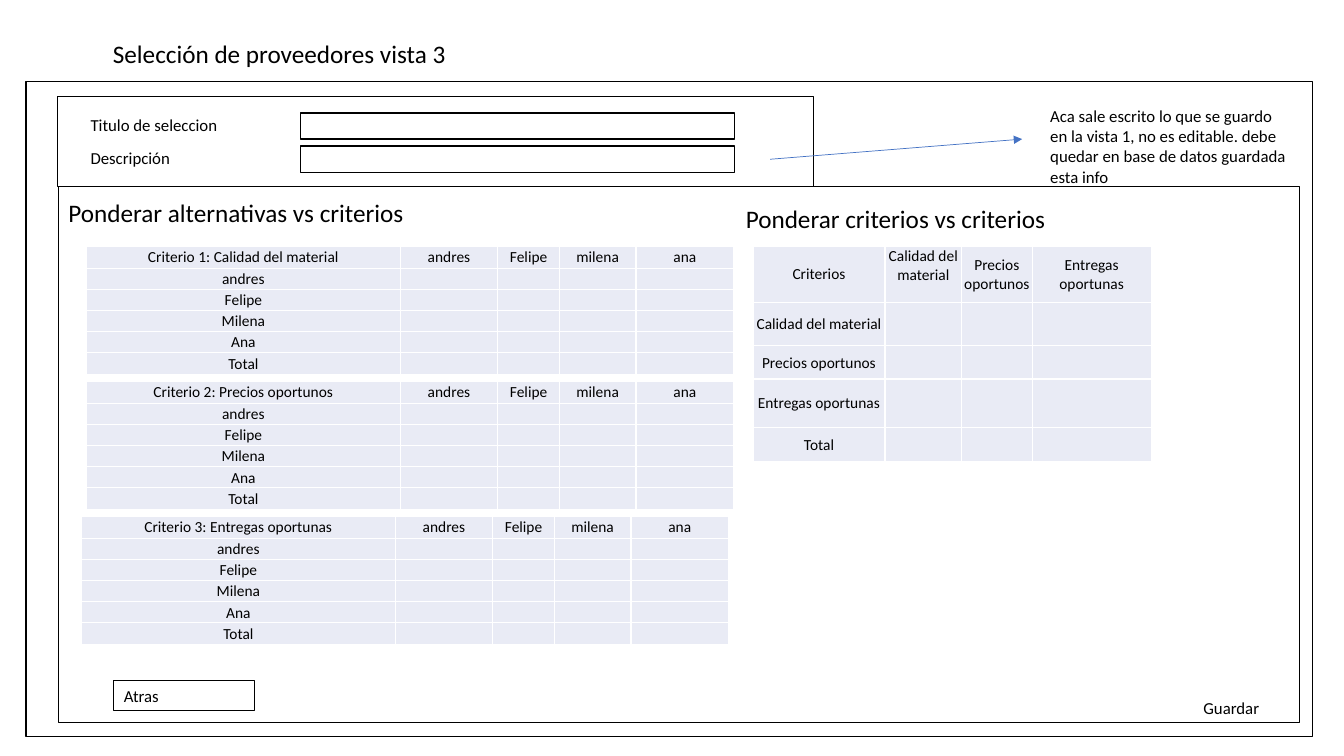
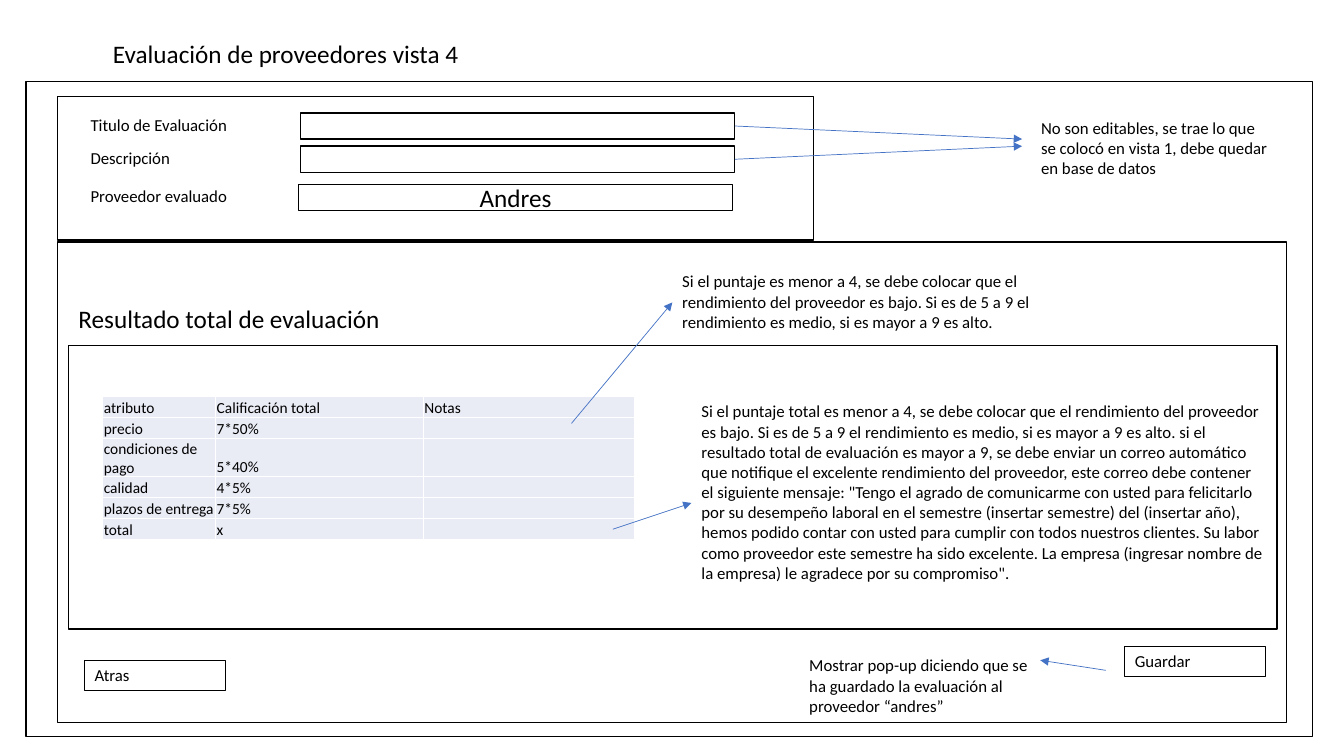
from dataclasses import dataclass
from typing import NamedTuple

from lxml import etree
from pptx import Presentation
from pptx.dml.color import RGBColor
from pptx.enum.shapes import MSO_CONNECTOR, MSO_SHAPE
from pptx.enum.text import MSO_ANCHOR, MSO_AUTO_SIZE, PP_ALIGN
from pptx.oxml.ns import qn
from pptx.util import Inches, Length, Pt

RECT = MSO_SHAPE.RECTANGLE
STRAIGHT = MSO_CONNECTOR.STRAIGHT
LEFT, CENTER = PP_ALIGN.LEFT, PP_ALIGN.CENTER
TOP, MIDDLE, BOTTOM = MSO_ANCHOR.TOP, MSO_ANCHOR.MIDDLE, MSO_ANCHOR.BOTTOM
GROW, FIXED = MSO_AUTO_SIZE.SHAPE_TO_FIT_TEXT, MSO_AUTO_SIZE.NONE
TITLE_ONLY = 5
COLS, ROWS = 133.33, 75


@dataclass(frozen=True)
class Theme:
    font: str = "Calibri"
    ink: str = "000000"
    arrow: str = "4472C4"
    cell: str = "E9EBF5"
    grid: str = "FFFFFF"
    heading: float = 18
    body: float = 12
    table: float = 11
    frame_line: float = 1
    button_line: float = 0.75
    arrow_line: float = 0.5


THEME = Theme()


class Box(NamedTuple):
    col: float
    row: float
    cols: float
    rows: float


class Arrow(NamedTuple):
    col: float
    row: float
    to_col: float
    to_row: float


class Field(NamedTuple):
    label: str
    row: float
    value: str = ""
    col: float = 29.8


class Label(NamedTuple):
    text: str
    box: Box
    size: float = THEME.body


class Button(NamedTuple):
    text: str
    col: float
    row: float


@dataclass(frozen=True)
class Grid:
    col: float
    row: float
    widths: list[float]
    heights: list[float]
    cells: list[list[str]]
    align: PP_ALIGN = CENTER
    anchor: MSO_ANCHOR = MIDDLE
    top_cells: tuple[tuple[int, int], ...] = ()


@dataclass(frozen=True)
class View:
    title: str
    header_rows: float
    fields: list[Field]
    panels: list[Box]
    labels: list[Label]
    buttons: list[Button]
    grids: list[Grid]
    arrows: list[Arrow]


def unit(n: float) -> Length:
    return Inches(n / 10)


def place(box: Box) -> list[Length]:
    return [unit(n) for n in box]


def color(value: str) -> RGBColor:
    return RGBColor.from_string(value)


def write(tf, text: str, *, size=THEME.body, align=LEFT, anchor=TOP, fit=GROW) -> None:
    tf.word_wrap = True
    tf.auto_size = fit
    tf.vertical_anchor = anchor
    p = tf.paragraphs[0]
    p.alignment = align
    r = p.add_run()
    r.text = text
    r.font.name = THEME.font
    r.font.size = Pt(size)
    r.font.color.rgb = color(THEME.ink)


def add_title(s, text: str) -> None:
    sp = s.shapes.title
    sp.left, sp.top, sp.width, sp.height = place(Box(10.2, 3.3, 48.2, 4))
    write(sp.text_frame, text, size=THEME.heading)


def add_label(s, label: Label) -> None:
    sp = s.shapes.add_textbox(*place(label.box))
    write(sp.text_frame, label.text, size=label.size)


def add_frame(s, box: Box, weight: float = THEME.frame_line):
    sp = s.shapes.add_shape(RECT, *place(box))
    sp.shadow.inherit = False
    sp.fill.background()
    sp.line.color.rgb = color(THEME.ink)
    sp.line.width = Pt(weight)
    return sp


def add_button(s, button: Button) -> None:
    sp = add_frame(s, Box(button.col, button.row, 14, 3), THEME.button_line)
    write(sp.text_frame, button.text)


def add_field(s, field: Field) -> None:
    add_label(s, Label(field.label, Box(8, field.row - 0.35, 18.6, 3)))
    sp = add_frame(s, Box(field.col, field.row, 43.1, 2.6))
    if field.value:
        write(sp.text_frame, field.value, size=THEME.heading,
              align=CENTER, anchor=MIDDLE, fit=FIXED)


def add_arrow(s, arrow: Arrow) -> None:
    c = s.shapes.add_connector(STRAIGHT, *[unit(n) for n in arrow])
    c.line.color.rgb = color(THEME.arrow)
    c.line.width = Pt(THEME.arrow_line)
    sp_pr = c.element.spPr
    etree.SubElement(sp_pr.find(qn("a:ln")), qn("a:tailEnd"), type="triangle")
    etree.SubElement(sp_pr, qn("a:effectLst"))


def add_borders(cell) -> None:
    tc_pr = cell._tc.get_or_add_tcPr()
    for i, side in enumerate(("lnL", "lnR", "lnT", "lnB")):
        ln = etree.Element(qn(f"a:{side}"), w=str(Pt(1)))
        fill = etree.SubElement(ln, qn("a:solidFill"))
        etree.SubElement(fill, qn("a:srgbClr"), val=THEME.grid)
        tc_pr.insert(i, ln)


def format_cell(cell, text: str, align: PP_ALIGN, anchor: MSO_ANCHOR) -> None:
    cell.margin_left = cell.margin_right = cell.margin_top = unit(0.1)
    cell.margin_bottom = 0
    cell.fill.solid()
    cell.fill.fore_color.rgb = color(THEME.cell)
    add_borders(cell)
    tf = cell.text_frame
    if text:
        p = tf.paragraphs[0]
        p.alignment = align
        r = p.add_run()
        r.text = text
        r.font.name = THEME.font
        r.font.size = Pt(THEME.table)
        r.font.color.rgb = color(THEME.ink)
        cell.vertical_anchor = anchor
    else:
        etree.SubElement(tf.paragraphs[0]._p, qn("a:endParaRPr"),
                         sz=str(int(THEME.table * 100)))


def add_grid(s, grid: Grid) -> None:
    box = Box(grid.col, grid.row, sum(grid.widths), sum(grid.heights))
    table = s.shapes.add_table(len(grid.heights), len(grid.widths), *place(box)).table
    table.first_row = table.horz_banding = False
    for column, width in zip(table.columns, grid.widths):
        column.width = unit(width)
    for i, height in enumerate(grid.heights):
        table.rows[i].height = unit(height)
        for j in range(len(grid.widths)):
            text = grid.cells[i][j] if j < len(grid.cells[i]) else ""
            anchor = TOP if (i, j) in grid.top_cells else grid.anchor
            format_cell(table.cell(i, j), text, grid.align, anchor)


def add_view(prs, view: View) -> None:
    s = prs.slides.add_slide(prs.slide_layouts[TITLE_ONLY])
    add_title(s, view.title)
    header = Box(5.7, 9.6, 75, view.header_rows)
    for box in (Box(2.6, 8.1, 127.6, 65), header, *view.panels):
        add_frame(s, box)
    for draw, items in ((add_field, view.fields), (add_button, view.buttons),
                        (add_grid, view.grids), (add_label, view.labels),
                        (add_arrow, view.arrows)):
        for item in items:
            draw(s, item)


def criterion_grid(number: int, name: str, col: float) -> Grid:
    return Grid(
        col, 24.4 + 13.4 * (number - 1),
        [31.1, 9.7, 6.1, 7.6, 9.7], [2.2, 2.1, 2.1, 2.1, 2.1, 2.2],
        [[f"Criterio {number}: {name}", "andres", "Felipe", "milena", "ana"],
         ["andres"], ["Felipe"], ["Milena"], ["Ana"], ["Total"]])


CRITERIA = ["Calidad del material", "Precios oportunos", "Entregas oportunas"]

SELECTION = View(
    title="Selección de proveedores vista 3",
    header_rows=8.9,
    fields=[Field("Titulo de seleccion", 11.2), Field("Descripción", 14.5)],
    panels=[Box(5.8, 18.5, 123.1, 53.2)],
    labels=[
        Label("Ponderar alternativas vs criterios", Box(5.8, 19.1, 41.2, 4), THEME.heading),
        Label("Ponderar criterios vs criterios", Box(73, 19.7, 41.2, 4), THEME.heading),
        Label("Guardar", Box(118.4, 68.7, 14, 3)),
        Label("Aca sale escrito lo que se guardo en la vista 1, no es editable. debe "
              "quedar en base de datos guardada esta info", Box(103.2, 10, 25.8, 9.1)),
    ],
    buttons=[Button("Atras", 11.3, 67.5)],
    grids=[
        *(criterion_grid(n, name, col)
          for n, (name, col) in enumerate(zip(CRITERIA, (8.6, 8.6, 8.1)), 1)),
        Grid(74.7, 24.4, [13.1, 7.6, 7, 11.8], [5.6, 4.3, 3.3, 4.8, 3.4],
             [["Criterios", *CRITERIA], *([name] for name in CRITERIA), ["Total"]],
             top_cells=((0, 1),)),
    ],
    arrows=[Arrow(76.4, 15.8, 101.4, 13.8)],
)

EVALUATION = View(
    title="Evaluación de proveedores vista 4",
    header_rows=14.2,
    fields=[Field("Titulo de Evaluación", 11.2), Field("Descripción", 14.5),
            Field("Proveedor evaluado", 18.3, "Andres", 29.6)],
    panels=[Box(6.8, 34.3, 119.9, 28.1), Box(5.7, 24, 121.9, 47.7)],
    labels=[
        Label("Resultado total de evaluación", Box(6.8, 29.6, 48.8, 4), THEME.heading),
        Label("No son editables, se trae lo que se colocó en vista 1, debe quedar en "
              "base de datos", Box(102.3, 11.2, 25, 7.1)),
        Label("Mostrar pop-up diciendo que se ha guardado la evaluación al proveedor "
              "“andres”", Box(79.3, 64.5, 25, 7.1)),
        Label("Si el puntaje es menor a 4, se debe colocar que el rendimiento del "
              "proveedor es bajo. Si es de 5 a 9 el rendimiento es medio, si es mayor "
              "a 9 es alto.", Box(66.7, 26.4, 42, 7.1)),
        Label("Si el puntaje total es menor a 4, se debe colocar que el rendimiento del "
              "proveedor es bajo. Si es de 5 a 9 el rendimiento es medio, si es mayor a "
              "9 es alto. si el resultado total de evaluación es mayor a 9, se debe "
              "enviar un correo automático que notifique el excelente rendimiento del "
              "proveedor, este correo debe contener el siguiente mensaje: \"Tengo el "
              "agrado de comunicarme con usted para felicitarlo por su desempeño laboral "
              "en el semestre (insertar semestre) del (insertar año), hemos podido contar "
              "con usted para cumplir con todos nuestros clientes. Su labor como proveedor "
              "este semestre ha sido excelente. La empresa (ingresar nombre de la empresa) "
              "le agradece por su compromiso\".", Box(68.6, 39.3, 58.1, 21.2)),
    ],
    buttons=[Button("Guardar", 111.6, 64.1), Button("Atras", 8.4, 65.5)],
    grids=[Grid(10.2, 39.3, [11.2, 20.6, 21], [2.1, 2.1, 3.7, 2.1, 2.1, 2.1],
                [["atributo", "Calificación total", "Notas"], ["precio", "7*50%"],
                 ["condiciones de pago", "5*40%"], ["calidad", "4*5%"],
                 ["plazos de entrega", "7*5%"], ["total", "x"]],
                align=LEFT, anchor=BOTTOM)],
    arrows=[Arrow(72.9, 12.5, 101.4, 13.8), Arrow(72.9, 15.8, 101.4, 14.5),
            Arrow(109.7, 66.5, 103.2, 65.5), Arrow(56.7, 42, 66.7, 30),
            Arrow(60.8, 52.5, 68.6, 49.9)],
)


def main() -> None:
    prs = Presentation()
    prs.slide_width, prs.slide_height = unit(COLS), unit(ROWS)
    for view in (SELECTION, EVALUATION):
        add_view(prs, view)
    prs.save("out.pptx")


if __name__ == "__main__":
    main()
